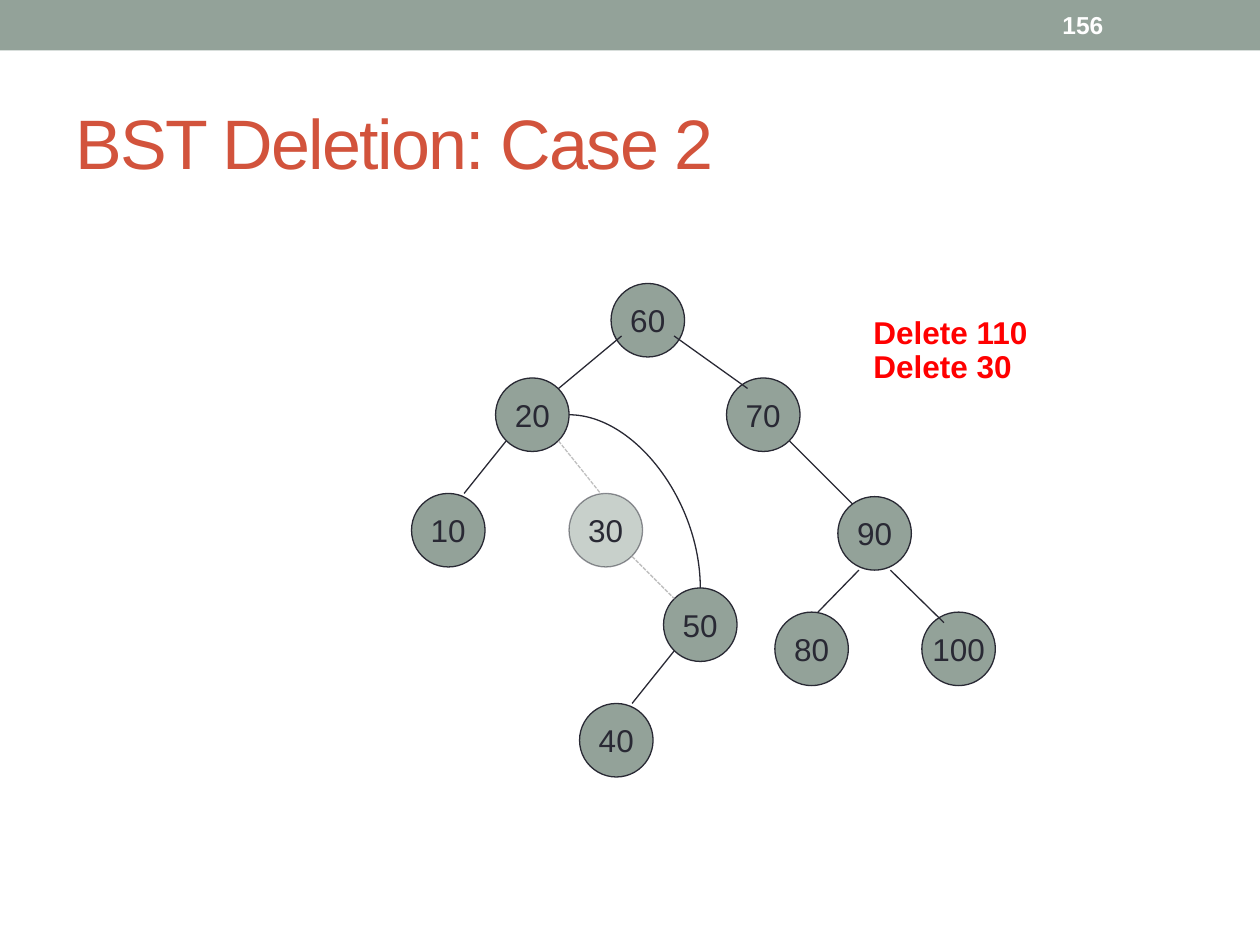
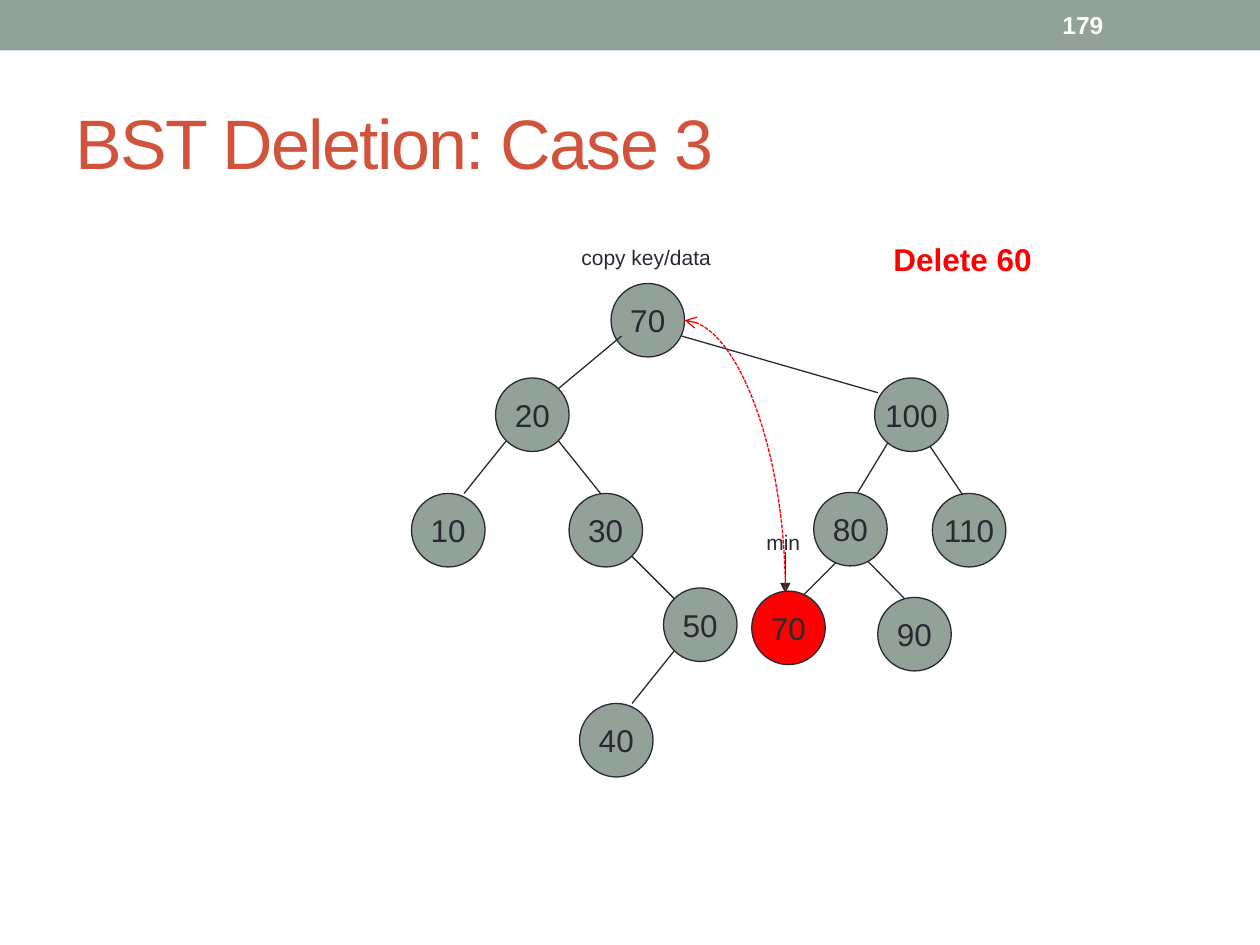
from lxml.etree import SubElement
from pptx import Presentation
from pptx.dml.color import RGBColor
from pptx.enum.dml import MSO_LINE
from pptx.enum.shapes import MSO_CONNECTOR as LINK, MSO_SHAPE as SHAPE
from pptx.enum.text import MSO_ANCHOR as ANCHOR, PP_ALIGN as ALIGN
from pptx.oxml.ns import qn
from pptx.util import Emu, Pt

PX = 7620  # EMU in one px, 120 px to the inch
FONT = "Arial"
COLORS = {"sage": "93A299", "ink": "292934", "title": "D2533C",
          "red": "FF0000", "gone": "BFBFBF", "white": "FFFFFF"}
SLIDE = (1200, 900)
BAND = (0, 0, 1200, 48)
TITLE = (60, 70, 1080, 130)
NUMBER = (1000, 2, 140, 43)
NODE = 70

# Nodes: key, left, top. Edges: x and y of the parent end, then of the child end.
LEFT_NODES = [("20", 472, 360), ("10", 392, 470), ("50", 632, 560), ("40", 552, 670)]
LEFT_EDGES = [(592, 320, 532, 370), (482, 420, 442, 470), (642, 620, 602, 670)]
NODE_30 = ("30", 542, 470)
EDGES_30 = [(532, 420, 572, 470), (602, 530, 642, 570)]

CASES = [
    {
        "title": "BST Deletion: Case 2",
        "number": "156",
        "nodes": LEFT_NODES + [("60", 582, 270), ("70", 692, 360), ("90", 798, 473),
                               ("80", 738, 583), ("100", 878, 583)],
        "deleted": [NODE_30],
        "edges": LEFT_EDGES + [(642, 320, 712, 370), (752, 420, 812, 480),
                               (848, 543, 899, 593), (818, 543, 779, 583)],
        "deleted_edges": EDGES_30,
        "new_edge": (542, 395, 667, 560),
        "commands": [("Delete 110", 820, 292, 185), ("Delete 30", 820, 325, 166)],
    },
    {
        "title": "BST Deletion: Case 3",
        "number": "179",
        "nodes": LEFT_NODES + [NODE_30, ("70", 582, 270)],
        "edges": LEFT_EDGES + EDGES_30 + [
            (649, 320, 836, 374), (883, 421, 922, 479), (846, 421, 817, 469),
            (797, 535, 757, 575), (827, 535, 877, 586)],
        "minimum": [("70", 716, 563)],
        "front_nodes": [("90", 836, 569), ("100", 833, 360), ("110", 888, 470),
                        ("80", 775, 469)],
        "commands": [("Delete 60", 839, 223, 166)],
        "notes": [("min", 718, 498, 61), ("copy key/data", 542, 227, 163)],
        "min_arrow": (748, 526, 748, 565),
        "copy_arrow": (652, 305, 748, 565),
    },
]


def rgb(name):
    return RGBColor.from_string(COLORS[name])


def emu(lengths):
    return [Emu(length * PX) for length in lengths]


def write(frame, text, size, color, bold=False, align=ALIGN.LEFT):
    frame.text = text
    paragraph = frame.paragraphs[0]
    paragraph.alignment = align
    font = paragraph.runs[0].font
    font.name, font.size, font.bold = FONT, Pt(size), bold
    font.color.rgb = rgb(color)
    return font


def add_label(slide, text, box, size, color, bold=False, anchor=ANCHOR.TOP):
    frame = slide.shapes.add_textbox(*emu(box)).text_frame
    frame.word_wrap = False
    frame.vertical_anchor = anchor
    write(frame, text, size, color, bold)


def set_alpha(fill_owner, percent):
    """Make the solid colour under an XML element partly transparent."""
    color = fill_owner.find(qn("a:solidFill"))[0]
    SubElement(color, qn("a:alpha")).set("val", str(percent * 1000))


def add_node(slide, key, left, top, fill="sage", faded=False):
    node = slide.shapes.add_shape(SHAPE.OVAL, *emu((left, top, NODE, NODE)))
    node.shadow.inherit = False
    node.fill.solid()
    node.fill.fore_color.rgb = rgb(fill)
    node.line.color.rgb = rgb("ink")
    node.line.width = Pt(0.75)
    node.text_frame.word_wrap = False
    node.text_frame.vertical_anchor = ANCHOR.MIDDLE
    write(node.text_frame, key, 18, "ink", align=ALIGN.CENTER)
    if faded:
        properties = node.element.spPr
        set_alpha(properties, 50)
        set_alpha(properties.find(qn("a:ln")), 49)


def add_edge(slide, ends, color="ink", dashed=False, curved=False, head=None, tail=None):
    kind = LINK.CURVE if curved else LINK.STRAIGHT
    edge = slide.shapes.add_connector(kind, *emu(ends))
    edge.line.color.rgb = rgb(color)
    edge.line.width = Pt(0.75)
    if dashed:
        edge.line.dash_style = MSO_LINE.SQUARE_DOT
    properties = edge.element.spPr
    if curved:
        properties.find(qn("a:prstGeom")).set("prst", "curvedConnector2")
    for tag, arrow in (("a:headEnd", head), ("a:tailEnd", tail)):
        if arrow:
            SubElement(properties.find(qn("a:ln")), qn(tag)).set("type", arrow)
    SubElement(properties, qn("a:effectLst"))


def add_band(slide, master):
    """Draw the top band and move it to the master, behind everything."""
    band = slide.shapes.add_shape(SHAPE.RECTANGLE, *emu(BAND))
    band.shadow.inherit = False
    band.fill.solid()
    band.fill.fore_color.rgb = rgb("sage")
    band.line.fill.background()
    master.shapes.element.insert(2, band.element)


def add_heading(slide, case):
    title = slide.shapes.title.text_frame
    title.vertical_anchor = ANCHOR.MIDDLE
    font = write(title, case["title"], 40, "title")
    font._element.set("spc", "-100")
    add_label(slide, case["number"], NUMBER, 14, "white", True, ANCHOR.MIDDLE)


def add_tree(slide, case):
    for node in case["nodes"]:
        add_node(slide, *node)
    for node in case.get("deleted", []):
        add_node(slide, *node, faded=True)
    for ends in case["edges"]:
        add_edge(slide, ends)
    for ends in case.get("deleted_edges", []):
        add_edge(slide, ends, "gone", dashed=True)
    for node in case.get("minimum", []):
        add_node(slide, *node, fill="red")
    for node in case.get("front_nodes", []):
        add_node(slide, *node)


def add_remarks(slide, case):
    for text, left, top, width in case["commands"]:
        add_label(slide, text, (left, top, width, 48), 18, "red", True)
    for text, left, top, width in case.get("notes", []):
        add_label(slide, text, (left, top, width, 36), 12, "ink")
    if "new_edge" in case:
        add_edge(slide, case["new_edge"], curved=True)
    if "min_arrow" in case:
        add_edge(slide, case["min_arrow"], tail="triangle")
    if "copy_arrow" in case:
        add_edge(slide, case["copy_arrow"], "red", dashed=True, curved=True, head="arrow")


def main():
    deck = Presentation()
    deck.slide_width, deck.slide_height = emu(SLIDE)
    layout = deck.slide_layouts.get_by_name("Title Only")
    heading = layout.placeholders[0]
    heading.left, heading.top, heading.width, heading.height = emu(TITLE)
    for case in CASES:
        slide = deck.slides.add_slide(layout)
        if case is CASES[0]:
            add_band(slide, deck.slide_master)
        add_heading(slide, case)
        add_tree(slide, case)
        add_remarks(slide, case)
    deck.save("out.pptx")


if __name__ == "__main__":
    main()
